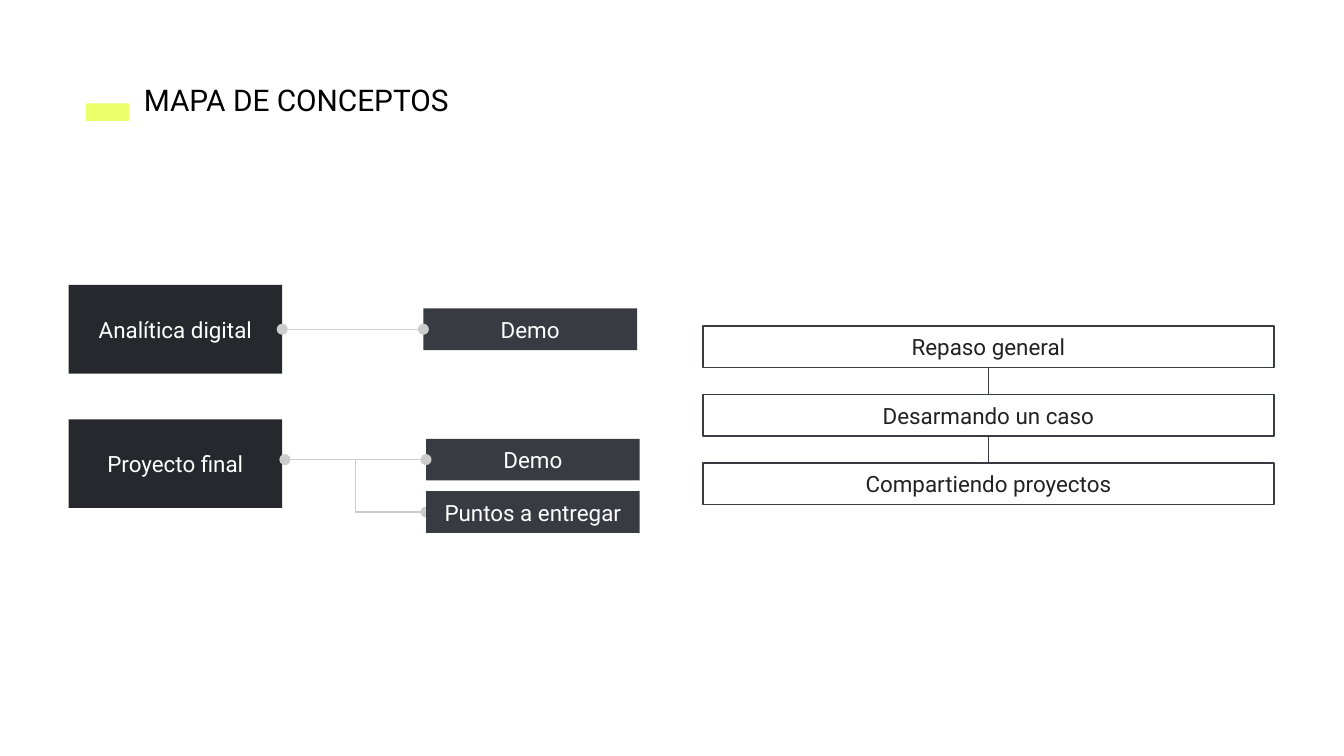
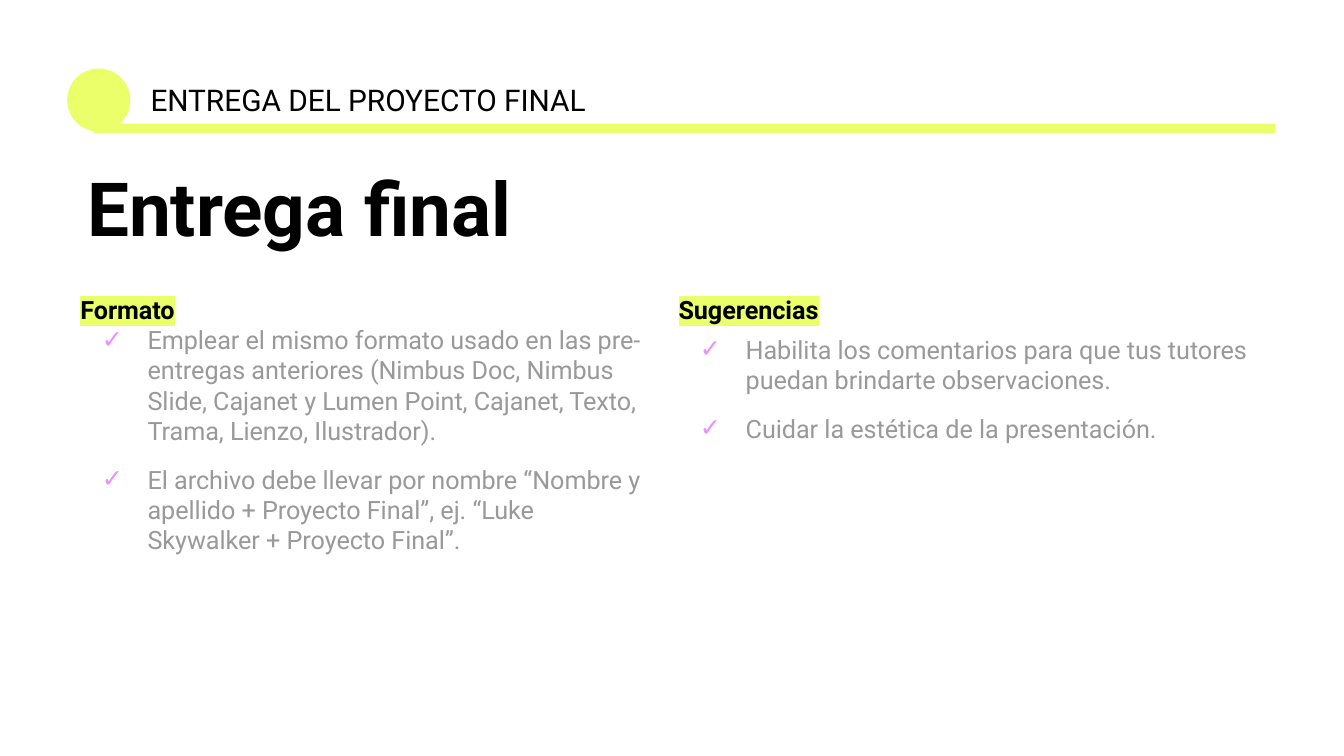
from lxml.etree import SubElement
from pptx import Presentation
from pptx.dml.color import RGBColor
from pptx.enum.shapes import MSO_CONNECTOR, MSO_SHAPE
from pptx.enum.text import MSO_ANCHOR, MSO_AUTO_SIZE, PP_ALIGN
from pptx.oxml.ns import qn
from pptx.util import Inches, Pt

FONT = "Roboto"
COLORS = {
    "lime": "EAFF6A", "black": "000000", "white": "FFFFFF", "ink": "222222",
    "topic": "27282D", "slate": "393B43", "link": "CCCCCC",
    "gray": "999999", "violet": "EA90FF",
}
RGB = {name: RGBColor.from_string(value) for name, value in COLORS.items()}


def add_text(tf, text, size=12, color="black", bold=False, align=PP_ALIGN.LEFT,
             anchor=MSO_ANCHOR.TOP, highlight=None, bullet=None, before=None,
             spacing=None):
    """Add a paragraph to tf, filling the first one if it is still empty."""
    tf.word_wrap = True
    tf.auto_size = MSO_AUTO_SIZE.NONE
    tf.vertical_anchor = anchor
    tf.margin_left = tf.margin_right = tf.margin_top = tf.margin_bottom = Inches(0.1)
    p = tf.paragraphs[0] if not tf.text else tf.add_paragraph()
    if bullet:
        pPr = p._p.get_or_add_pPr()
        pPr.set("marL", str(Inches(0.5)))
        pPr.set("indent", str(Inches(-0.34)))
        bu_color = SubElement(pPr, qn("a:buClr"))
        SubElement(bu_color, qn("a:srgbClr"), val=COLORS["violet"])
        SubElement(pPr, qn("a:buFont"), typeface=FONT)
        SubElement(pPr, qn("a:buChar"), char=bullet)
    p.alignment = align
    if before:
        p.space_before = Pt(before)
    if spacing:
        p.line_spacing = spacing
    r = p.add_run()
    r.text = text
    r.font.name = FONT
    r.font.size = Pt(size)
    r.font.bold = bold
    r.font.color.rgb = RGB[color]
    if highlight:
        rPr = r._r.get_or_add_rPr()
        hl = SubElement(rPr, qn("a:highlight"))
        SubElement(hl, qn("a:srgbClr"), val=COLORS[highlight])
        rPr.find(qn("a:solidFill")).addnext(hl)


def add_link(s, kind, x1, y1, x2, y2, color="link", ends=()):
    """Add a thin connector with round dots at the given ends."""
    cxn = s.shapes.add_connector(kind, Inches(x1), Inches(y1), Inches(x2), Inches(y2))
    cxn.line.color.rgb = RGB[color]
    cxn.line.width = Pt(0.75)
    ln = cxn.line._get_or_add_ln()
    for end in ends:
        SubElement(ln, qn(f"a:{end}"), type="oval")
    SubElement(cxn._element.spPr, qn("a:effectLst"))
    return cxn


# A 16:9 page, 10 inches wide
prs = Presentation()
prs.slide_width = Inches(10)
prs.slide_height = Inches(10) * 9 // 16

# Headings and lime marks of both slides
HEADINGS = [
    ("MAPA DE CONCEPTOS", 0.97, 2.69,
     [(MSO_SHAPE.RECTANGLE, 0.64, 0.77, 0.32, 0.13)]),
    ("ENTREGA DEL PROYECTO FINAL", 1.02, 3.5,
     [(MSO_SHAPE.OVAL, 0.5, 0.51, 0.47, 0.47),
      (MSO_SHAPE.RECTANGLE, 0.7, 0.92, 8.79, 0.07)]),
]
for text, left, width, marks in HEADINGS:
    s = prs.slides.add_slide(prs.slide_layouts[5])
    title = s.shapes.title
    title.left, title.top = Inches(left), Inches(0.51)
    title.width, title.height = Inches(width), Inches(0.47)
    add_text(title.text_frame, text, size=16)
    for shape, *place in marks:
        sp = s.shapes.add_shape(shape, *[Inches(v) for v in place])
        sp.shadow.inherit = False
        sp.fill.solid()
        sp.fill.fore_color.rgb = RGB["lime"]
        sp.line.fill.background()

# Slide 1: links that lie behind the boxes
s = prs.slides[0]
spine = add_link(s, MSO_CONNECTOR.STRAIGHT, 7.36, 2.42, 7.36, 3.75, color="slate")
add_link(s, MSO_CONNECTOR.ELBOW, 2.12, 3.42, 3.17, 3.81, ends=["tailEnd"])

# Slide 1: boxes as text, left, vertical centre, width, height, colours
TOPIC = (1.59, 0.66, "topic", None, "white")
DETAIL = (1.59, 0.31, "slate", None, "white")
STEP = (4.25, 0.31, "white", "slate", "ink")
BOXES = [
    ("Analítica digital", 0.51, 2.45, TOPIC),
    ("Demo", 3.15, 2.45, DETAIL),
    ("Proyecto final", 0.51, 3.45, TOPIC),
    ("Demo", 3.17, 3.42, DETAIL),
    ("Puntos a entregar", 3.17, 3.81, DETAIL),
]
STEPS = ["Repaso general", "Desarmando un caso", "Compartiendo proyectos"]
BOXES += [(text, 5.23, 2.58 + 0.51 * i, STEP) for i, text in enumerate(STEPS)]

boxes = []
for text, left, middle, (width, height, fill, line, color) in BOXES:
    sp = s.shapes.add_shape(MSO_SHAPE.RECTANGLE, Inches(left), Inches(middle - height / 2),
                            Inches(width), Inches(height))
    sp.shadow.inherit = False
    sp.fill.solid()
    sp.fill.fore_color.rgb = RGB[fill]
    if line:
        sp.line.color.rgb = RGB[line]
        sp.line.width = Pt(0.75)
    else:
        sp.line.fill.background()
    add_text(sp.text_frame, text, color=color, align=PP_ALIGN.CENTER,
             anchor=MSO_ANCHOR.MIDDLE)
    boxes.append(sp)

# Slide 1: joined links
analytics, analytics_demo, _, project_demo, _, first_step, _, last_step = boxes
spine.begin_connect(first_step, 0)
spine.end_connect(last_step, 2)
DOTS = ["headEnd", "tailEnd"]
cxn = add_link(s, MSO_CONNECTOR.STRAIGHT, 2.1, 2.45, 3.15, 2.45, ends=DOTS)
cxn.begin_connect(analytics, 3)
cxn.end_connect(analytics_demo, 1)
cxn = add_link(s, MSO_CONNECTOR.STRAIGHT, 2.12, 3.42, 3.17, 3.42, ends=DOTS)
cxn.end_connect(project_demo, 1)

# Slide 2: large heading
s = prs.slides[1]
sp = s.shapes.add_textbox(Inches(0.55), Inches(1.18), Inches(7.99), Inches(0.81))
add_text(sp.text_frame, "Entrega final", size=40, bold=True, spacing=0.9)

# Slide 2: checklists as heading, left, width, height, gap under heading, items
CHECKLISTS = [
    ("Sugerencias", 4.95, 4.69, 1.32, 5, [
        "Habilita los comentarios para que tus tutores puedan brindarte observaciones.",
        "Cuidar la estética de la presentación.",
    ]),
    ("Formato", 0.5, 4.45, 2.53, None, [
        "Emplear el mismo formato usado en las pre-entregas anteriores (Nimbus Doc, "
        "Nimbus Slide, Cajanet y Lumen Point, Cajanet, Texto, Trama, Lienzo, Ilustrador).",
        "El archivo debe llevar por nombre “Nombre y apellido + Proyecto Final”, "
        "ej. “Luke Skywalker + Proyecto Final”.",
    ]),
]
for heading, left, width, height, gap, items in CHECKLISTS:
    sp = s.shapes.add_textbox(Inches(left), Inches(2.09), Inches(width), Inches(height))
    tf = sp.text_frame
    add_text(tf, heading, size=13.5, bold=True, highlight="lime")
    for i, item in enumerate(items):
        add_text(tf, item, size=13.5, color="gray", bullet="✓", before=10 if i else gap)

prs.save("out.pptx")
